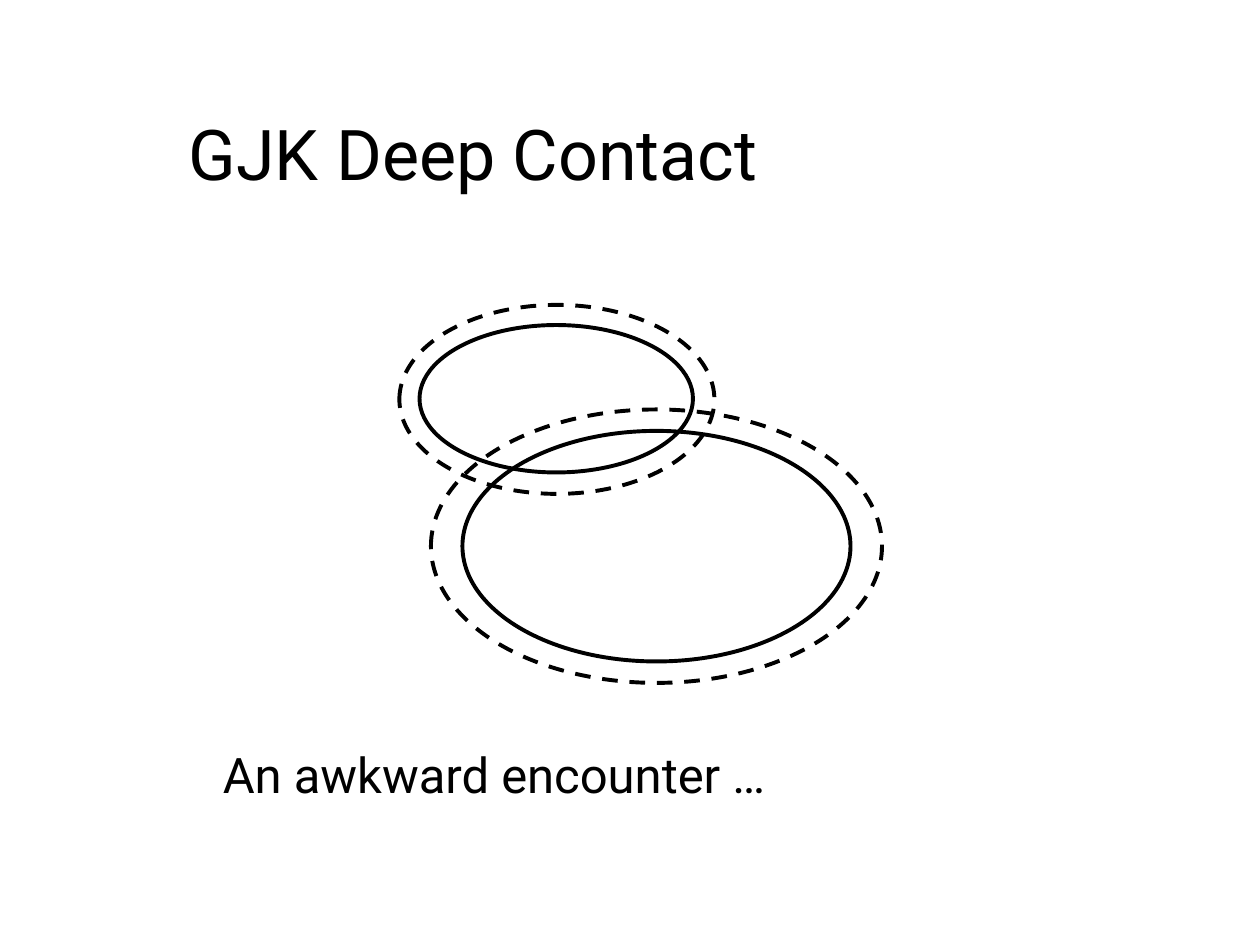
import pptx
import pptx.util
import pptx.dml.color
import pptx.enum.dml
import pptx.enum.shapes
import pptx.enum.text

Inches = pptx.util.Inches
Pt = pptx.util.Pt
ANCHOR = pptx.enum.text.MSO_ANCHOR
COLORS = {"ink": "000000", "paper": "FFFFFF"}


def rgb(name):
    return pptx.dml.color.RGBColor.from_string(COLORS[name])


def write_text(tf, text, size=28, font="Roboto", color="ink", anchor=ANCHOR.TOP):
    tf.word_wrap = True
    tf.vertical_anchor = anchor
    p = tf.paragraphs[0]
    r = p.add_run()
    r.text = text
    r.font.size = Pt(size)
    r.font.name = font
    r.font.color.rgb = rgb(color)


class Sketch:
    """Draws outlined ellipses and labels in one style on a slide."""

    def __init__(self, s, line_width=2.25):
        self.s = s
        self.line_width = Pt(line_width)
        s.background.fill.solid()
        s.background.fill.fore_color.rgb = rgb("paper")

    def text(self, box, text, **style):
        sp = self.s.shapes.add_textbox(*map(Inches, box))
        write_text(sp.text_frame, text, **style)

    def ellipse(self, box, dashed=False):
        sp = self.s.shapes.add_shape(
            pptx.enum.shapes.MSO_SHAPE.OVAL, *map(Inches, box))
        sp.shadow.inherit = False
        sp.fill.background()
        sp.line.color.rgb = rgb("ink")
        sp.line.width = self.line_width
        if dashed:
            sp.line.dash_style = pptx.enum.dml.MSO_LINE.DASH


def main():
    prs = pptx.Presentation()
    prs.slide_width, prs.slide_height = Inches(10), Inches(7.5)
    sketch = Sketch(prs.slides.add_slide(prs.slide_layouts[6]))

    sketch.text((1.4, 0.42, 7.75, 1.58), "GJK Deep Contact",
                size=40, anchor=ANCHOR.MIDDLE)

    bodies = [(3.67, 3.42, 3.08, 1.83), (3.33, 2.58, 2.17, 1.17)]
    margins = [(3.42, 3.25, 3.58, 2.17), (3.17, 2.42, 2.5, 1.5)]
    for box in bodies:
        sketch.ellipse(box)
    for box in margins:
        sketch.ellipse(box, dashed=True)

    sketch.text((1.67, 5.86, 4.83, 0.57), "An awkward encounter …")
    prs.save("out.pptx")


if __name__ == "__main__":
    main()
